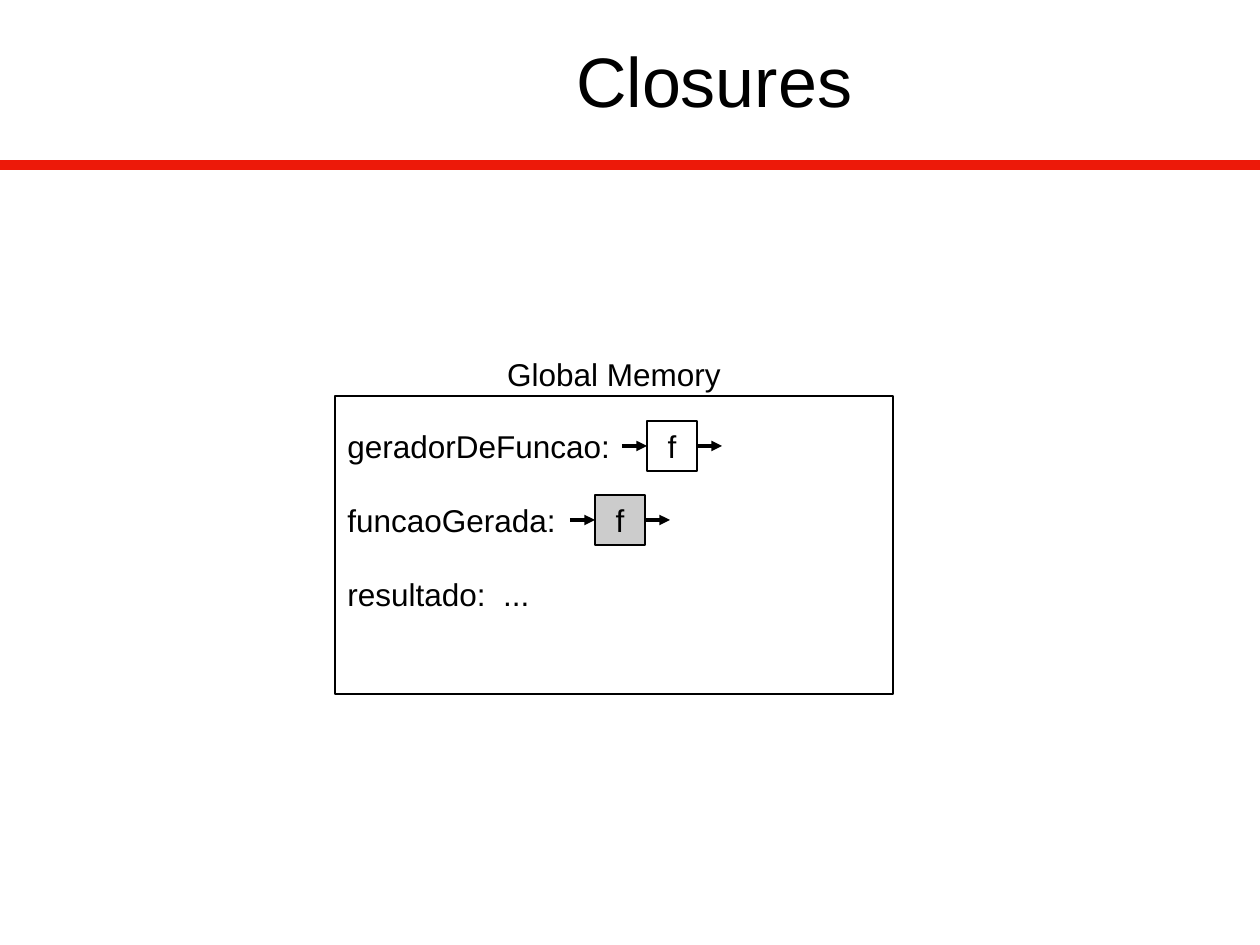
from lxml import etree
from pptx import Presentation
from pptx import util as u
from pptx.dml.color import RGBColor
from pptx.enum import shapes, text
from pptx.oxml.ns import qn

PX = 914400 / 126
FONT, BLACK, RED = "Arial", "000000", "ED1909"

TITLE = "Closures"
CAPTION = "Global Memory"
# label, left edge of the function box, fill of the function box
VARIABLES = [
    ("geradorDeFuncao:", 647, None),
    ("funcaoGerada:", 595, "CCCCCC"),
    ("resultado:  ...", None, None),
]

MEMORY_LEFT, MEMORY_TOP, MEMORY_WIDTH, MEMORY_HEIGHT = 335, 396, 558, 298
FIRST_ROW, ROW_PITCH = 421, 74
LABEL_WIDTH, LABEL_HEIGHT = 297, 50
BOX_SIZE, ARROW_LENGTH = 50, 25


def emu(*lengths):
    return [round(length * PX) for length in lengths]


def color(value):
    return RGBColor.from_string(value)


def write(shape, content, size, align):
    frame = shape.text_frame
    frame.text = content
    para = frame.paragraphs[0]
    para.alignment = align
    font = para.runs[0].font
    font.name, font.size = FONT, u.Pt(size)
    font.color.rgb = color(BLACK)


def add_label(page, content, left, top, width, align=text.PP_ALIGN.LEFT):
    label = page.shapes.add_textbox(*emu(left, top, width, LABEL_HEIGHT))
    label.text_frame.word_wrap = True
    write(label, content, 18, align)


def add_box(parent, left, top, width, height, fill=None):
    box = parent.shapes.add_shape(
        shapes.MSO_SHAPE.RECTANGLE, *emu(left, top, width, height))
    box.shadow.inherit = False
    box.line.color.rgb = color(BLACK)
    box.line.width = u.Pt(1)
    if fill:
        box.fill.solid()
        box.fill.fore_color.rgb = color(fill)
    else:
        box.fill.background()
    return box


def add_line(parent, left, right, y, stroke, width, arrow=False):
    line = parent.shapes.add_connector(
        shapes.MSO_CONNECTOR.STRAIGHT, *emu(left, y, right, y))
    line.line.color.rgb = color(stroke)
    line.line.width = u.Pt(width)
    if arrow:
        outline = line.line._get_or_add_ln()
        etree.SubElement(outline, qn("a:tailEnd"), type="triangle")
    etree.SubElement(line._element.spPr, qn("a:effectLst"))


def add_function(page, left, top, fill):
    """Add a function box with an arrow leading in and one leading out."""
    group = page.shapes.add_group_shape()
    box = add_box(group, left, top, BOX_SIZE, BOX_SIZE, fill)
    write(box, "f", 18, text.PP_ALIGN.CENTER)
    frame = box.text_frame
    frame.word_wrap = False
    frame.vertical_anchor = text.MSO_ANCHOR.MIDDLE
    frame.margin_left = frame.margin_right = u.Inches(0.11)
    frame.margin_top = frame.margin_bottom = u.Inches(0.06)
    for start in (left - ARROW_LENGTH, left + BOX_SIZE):
        add_line(group, start, start + ARROW_LENGTH, top + BOX_SIZE / 2,
                 BLACK, 0, arrow=True)


def main():
    deck = Presentation()
    deck.slide_width, deck.slide_height = emu(1260, 945)
    page = deck.slides.add_slide(deck.slide_layouts[5])

    add_line(page, 0, 1260, 165, RED, 6)
    title = page.shapes.title
    title.left, title.top, title.width, title.height = emu(193, -11, 1042, 181)
    write(title, TITLE, 40, text.PP_ALIGN.CENTER)
    title.text_frame.vertical_anchor = text.MSO_ANCHOR.MIDDLE

    add_label(page, CAPTION, MEMORY_LEFT, MEMORY_TOP - 47, MEMORY_WIDTH,
              text.PP_ALIGN.CENTER)
    add_box(page, MEMORY_LEFT, MEMORY_TOP, MEMORY_WIDTH, MEMORY_HEIGHT)
    for row, (label, function_left, fill) in enumerate(VARIABLES):
        top = FIRST_ROW + row * ROW_PITCH
        add_label(page, label, MEMORY_LEFT, top, LABEL_WIDTH)
        if function_left is not None:
            add_function(page, function_left, top, fill)

    deck.save("out.pptx")


if __name__ == "__main__":
    main()
